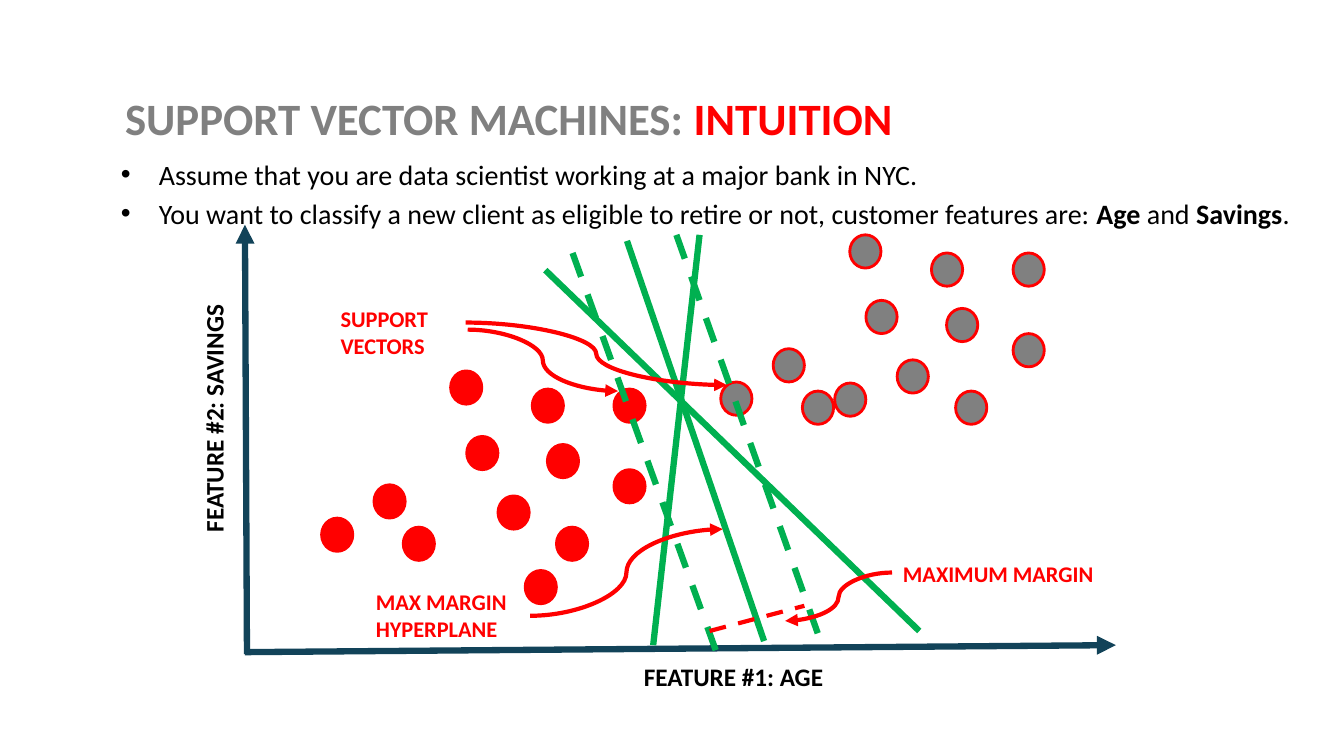
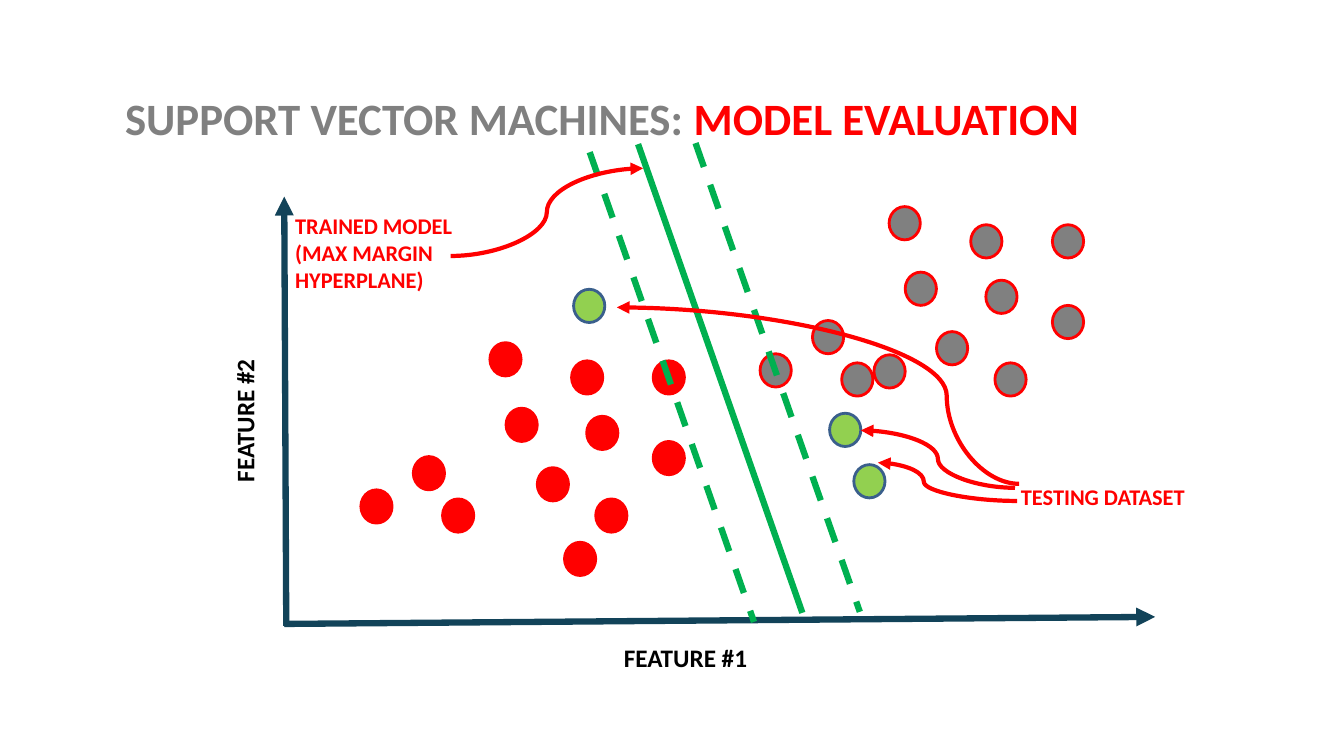
import pptx
import pptx.util
import pptx.dml.color
import pptx.enum.dml
import pptx.enum.shapes
import pptx.enum.text
import pptx.oxml
import pptx.oxml.ns
from lxml import etree

COLORS = {"grey": "808080", "red": "FF0000", "black": "000000", "navy": "124359",
          "green": "00B050", "lime": "92D050", "blue": "3A5F8C"}
FONT = "Calibri"
CELL = pptx.util.Inches(0.1)  # square grid, 133.33 columns by 75 rows
COLS, ROWS = 133.33, 75
DOT = (3.1, 3.3)
TITLE_ONLY, TITLE_AND_CONTENT = 5, 1

# Dots, from the top left corner of the plot
CLUSTER = [(47.2, 15.6), (52.4, 12.3), (55.3, 16.5), (64.7, 13.4), (61.6, 7.5), (60, 1),
           (68.1, 2.8), (69.6, 8.3), (70.5, 16.5), (76.2, 10.8), (76.2, 2.8)]
GREY_DOTS = CLUSTER + [(58.5, 15.7)]
RED_DOTS = [(x - 39.6, y + 13.5) for x, y in CLUSTER] + [(27.8, 34.3)]


def rgb(name):
    return pptx.dml.color.RGBColor.from_string(COLORS[name])


def cells(*counts):
    return [round(n * CELL) for n in counts]


def style_font(font, size, color, bold=True):
    font.name, font.size, font.bold = FONT, pptx.util.Pt(size), bold
    font.color.rgb = rgb(color)


# Slide frame
def add_title(s, topic, box):
    title = s.shapes.title
    title.left, title.top, title.width, title.height = cells(*box)
    tf = title.text_frame
    tf.auto_size = pptx.enum.text.MSO_AUTO_SIZE.NONE
    tf.vertical_anchor = pptx.enum.text.MSO_ANCHOR.MIDDLE
    tf.margin_left = tf.margin_right = pptx.util.Inches(0.07)
    tf.margin_top = tf.margin_bottom = pptx.util.Inches(0.04)
    p = tf.paragraphs[0]
    p.alignment = pptx.enum.text.PP_ALIGN.LEFT
    p.line_spacing = 0.9
    for text, color in (("SUPPORT VECTOR MACHINES: ", "grey"), (topic, "red")):
        r = p.add_run()
        r.text = text
        style_font(r.font, 32, color)


def add_bullets(s, bullets, box):
    body = s.placeholders[1]
    body.left, body.top, body.width, body.height = cells(*box)
    tf = body.text_frame
    tf.auto_size = pptx.enum.text.MSO_AUTO_SIZE.NONE
    for i, runs in enumerate(bullets):
        p = tf.add_paragraph() if i else tf.paragraphs[0]
        style_font(p.font, 20, "black", bold=False)
        for text, bold in runs:
            r = p.add_run()
            r.text = text
            r.font.bold = bold


# Plot parts, all placed from the plot's corner
class Plot:
    def __init__(self, s, left, top):
        self.s, self.left, self.top = s, left, top

    def line(self, start, end, color, width=4.5, dash=False, arrow=False, bend=None):
        """A straight line, or a curve that turns at the share `bend` of its width."""
        kind = pptx.enum.shapes.MSO_CONNECTOR
        x1, y1, x2, y2 = cells(self.left + start[0], self.top + start[1],
                               self.left + end[0], self.top + end[1])
        c = self.s.shapes.add_connector(kind.CURVE if bend else kind.STRAIGHT, x1, y1, x2, y2)
        c.line.color.rgb = rgb(color)
        c.line.width = pptx.util.Pt(width)
        if dash:
            c.line.dash_style = pptx.enum.dml.MSO_LINE.DASH
        qn, spPr = pptx.oxml.ns.qn, c.element.spPr
        if arrow:
            etree.SubElement(spPr.find(qn("a:ln")), qn("a:tailEnd"), type="triangle")
        if bend:
            geom = spPr.find(qn("a:prstGeom"))
            guides = geom.find(qn("a:avLst"))
            if guides is None:
                guides = etree.SubElement(geom, qn("a:avLst"))
            etree.SubElement(guides, qn("a:gd"), name="adj1", fmla=f"val {round(bend * 100000)}")
        etree.SubElement(spPr, qn("a:effectLst"))

    def pointer(self, start, end, bend=0.5):
        self.line(start, end, "red", 3, arrow=True, bend=bend)

    def dots(self, corners, fill, outline="red"):
        for x, y in corners:
            dot = self.s.shapes.add_shape(pptx.enum.shapes.MSO_SHAPE.OVAL,
                                          *cells(self.left + x, self.top + y, *DOT))
            dot.shadow.inherit = False
            dot.fill.solid()
            dot.fill.fore_color.rgb = rgb(fill)
            dot.line.color.rgb = rgb(outline)
            dot.line.width = pptx.util.Pt(2)

    def label(self, text, box, size=16, color="red", rotation=0, wrap=False):
        x, y, width, height = box
        tb = self.s.shapes.add_textbox(*cells(self.left + x, self.top + y, width, height))
        tb.rotation = rotation
        tf = tb.text_frame
        tf.text = text
        tf.word_wrap = wrap
        tf.auto_size = pptx.enum.text.MSO_AUTO_SIZE.SHAPE_TO_FIT_TEXT
        for p in tf.paragraphs:
            style_font(p.font, size, color)

    def axes_and_classes(self):
        self.line((0, 42.4), (86.4, 41.7), "navy", arrow=True)
        self.line((0.2, 42.6), (0, 0), "navy", arrow=True)
        self.dots(GREY_DOTS, "grey")
        self.dots(RED_DOTS, "red")

    def axis_labels(self, x_text, x_box, y_text, y_box):
        self.label(x_text, x_box, 18, "black")
        self.label(y_text, y_box, 18, "black", rotation=270)

    def boundaries(self, solid, dashed):
        for ends, dash in [(e, False) for e in solid] + [(e, True) for e in dashed]:
            self.line(*ends, "green", dash=dash)


# Slides
def intuition_slide(prs):
    s = prs.slides.add_slide(prs.slide_layouts[TITLE_AND_CONTENT])
    add_title(s, "INTUITION", (11.7, 6.6, 83.4, 10.9))
    add_bullets(s, [
        [("Assume that you are data scientist working at a major bank in NYC.", False)],
        [("You want to classify a new client as eligible to retire or not, "
          "customer features are: ", False),
         ("Age ", True), ("and ", False), ("Savings", True), (".", False)],
    ], (11, 15.1, 121.3, 47.4))

    plot = Plot(s, 24.3, 22.3)
    plot.axes_and_classes()
    plot.axis_labels("FEATURE #1: AGE", (38.6, 42.8, 20.6, 4),
                     "FEATURE #2: SAVINGS", (-15.8, 16.8, 25.4, 4))
    plot.boundaries(
        solid=[((29.8, 4.5), (66.9, 40.3)), ((37.9, 1.6), (51.5, 41.3)),
               ((45.1, 1), (40.5, 41.7))],
        dashed=[((32.5, 2.8), (46.7, 42.2)), ((42.8, 1), (57.1, 41.3))])

    # Callouts
    plot.pointer((28.3, 38.8), (47.4, 30.2))
    plot.label("MAX MARGIN\nHYPERPLANE", (12, 35.6, 17.4, 6.4))
    plot.pointer((22.1, 10.4), (37, 16.5))
    plot.pointer((21.9, 9.7), (47.8, 15.9))
    plot.label("SUPPORT VECTORS", (8.5, 7.5, 14.1, 6.4), wrap=True)
    plot.pointer((64.2, 34.5), (53.6, 39.3))
    plot.label("MAXIMUM MARGIN", (64.3, 32.8, 23.4, 3.7))
    plot.line((46.1, 40.3), (55.5, 37.8), "red", 3, dash=True)


def evaluation_slide(prs):
    s = prs.slides.add_slide(prs.slide_layouts[TITLE_ONLY])
    add_title(s, "MODEL EVALUATION", (11.7, 6.6, 99.7, 10.9))

    plot = Plot(s, 28.2, 19.5)
    plot.axes_and_classes()
    plot.axis_labels("FEATURE #1", (32.7, 43.7, 17.1, 4),
                     "FEATURE #2", (-12.5, 18.8, 17.1, 4))
    plot.boundaries(
        solid=[((35.1, -5.2), (51.4, 41.3))],
        dashed=[((30.3, -4.4), (46.6, 42.2)), ((40.8, -5.3), (57.1, 41.2))])

    # Trained model
    plot.pointer((16.5, 5.9), (35.6, -2.8))
    plot.label("TRAINED MODEL\n(MAX MARGIN\nHYPERPLANE)", (0.1, 1.1, 21.3, 9.1))

    # Testing dataset
    plot.dots([(54.1, 21.5), (56.5, 26.6), (28.7, 9.2)], "lime", "blue")
    plot.pointer((72.5, 28.9), (57.2, 23.2))
    plot.label("TESTING DATASET", (72.1, 27.9, 23.2, 3.7))
    plot.pointer((72.7, 30.2), (58.9, 26.4), bend=0.67)
    plot.pointer((72.9, 28.5), (33, 11), bend=0.18)


prs = pptx.Presentation()
prs.slide_width, prs.slide_height = cells(COLS, ROWS)
intuition_slide(prs)
evaluation_slide(prs)
prs.save("out.pptx")
